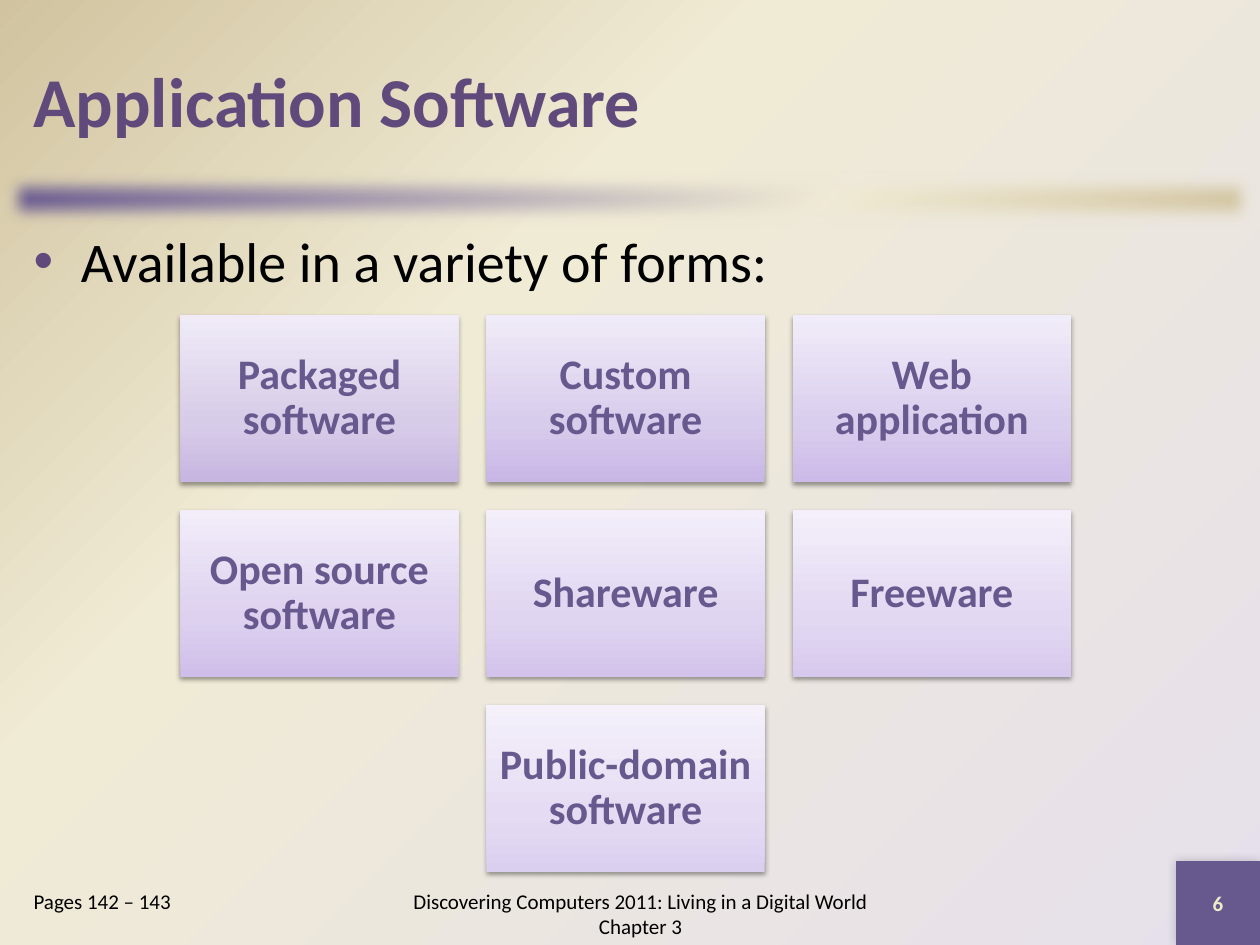
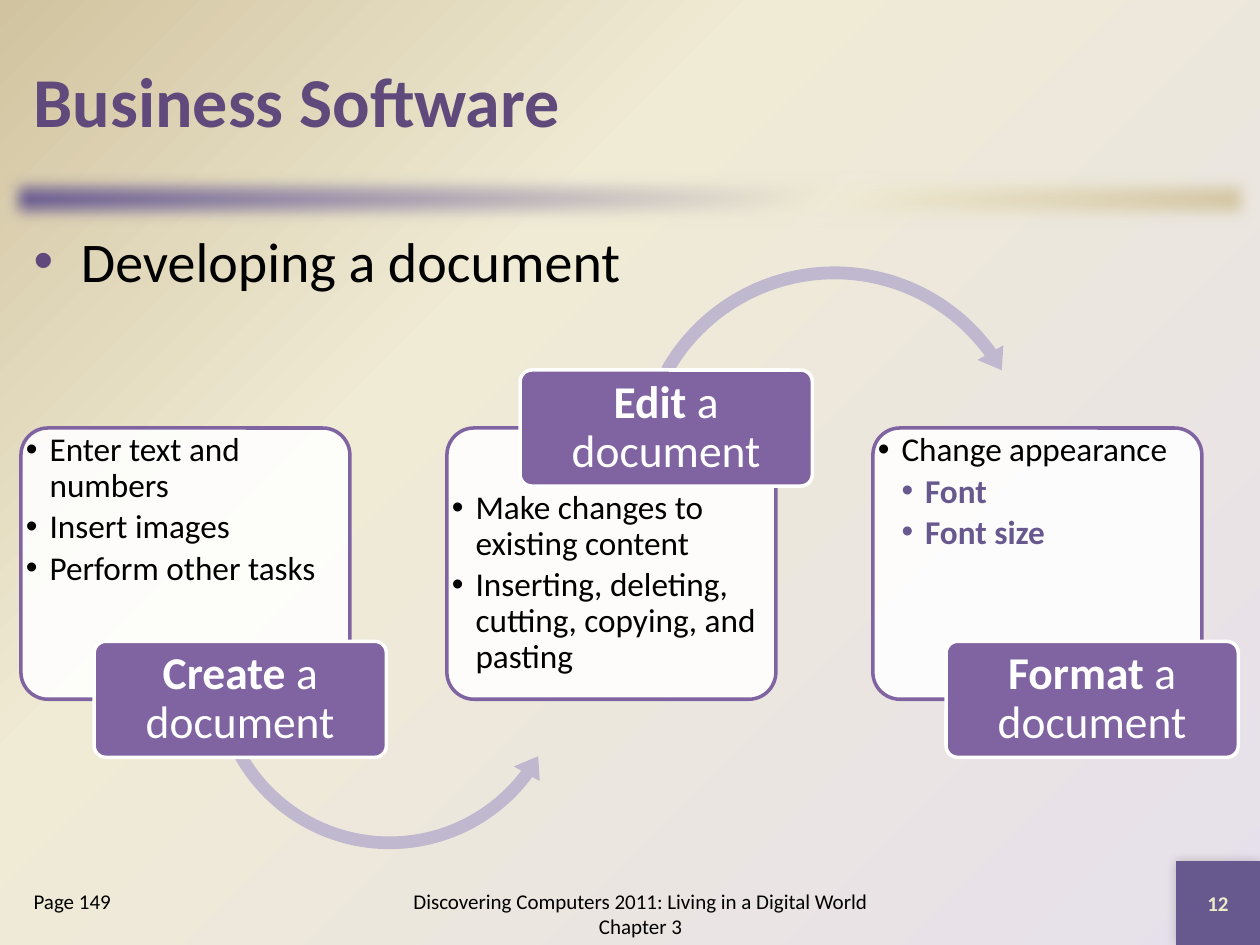
from pptx import Presentation
from pptx.dml.color import RGBColor
from pptx.enum.shapes import MSO_SHAPE
from pptx.enum.text import MSO_ANCHOR, MSO_AUTO_SIZE, PP_ALIGN
from pptx.oxml import parse_xml
from pptx.oxml.ns import nsdecls, qn
from pptx.util import Pt

FONT = "Calibri"
BLACK = "000000"
WHITE = "FFFFFF"
PURPLE = "67588E"
TITLE_PURPLE = "604A7B"
LABEL_PURPLE = "8064A2"
ARROW_LILAC = "C0B8CE"
CREAM = "EEEBCA"
SAND_STOPS = [(65, "F0EBD5"), (100, "D1C39F")]
FOOTER = "Discovering Computers 2011: Living in a Digital World Chapter 3"

CARDS = [
    ("Packaged software", ("C6B6E0", "D7CCE8", "F0EBF7")),
    ("Custom software", ("C8B6E6", "D8CCEC", "F0EBF8")),
    ("Web application", ("CCBAE8", "DACEEE", "F1ECF9")),
    ("Open source software", ("CFBEE9", "DDD1EF", "F2EDF9")),
    ("Shareware", ("D3C3EB", "DFD5F0", "F3EEFA")),
    ("Freeware", ("D7C9ED", "E2D8F2", "F4EFFA")),
    ("Public-domain software", ("DBCFEF", "E5DCF3", "F5F1FB")),
]

STEPS = [
    {
        "verb": "Create",
        "items": [(0, "Enter text and numbers"), (0, "Insert images"), (0, "Perform other tasks")],
        "label_on_top": False,
        "arrow": (MSO_SHAPE.LEFT_CIRCULAR_ARROW, (104.4, 33.1, 212.4, 212.4),
                  (0.034, 4.208, 21.963, 90.245, 0.04)),
    },
    {
        "verb": "Edit",
        "items": [(0, "Make changes to existing content"),
                  (0, "Inserting, deleting, cutting, copying, and pasting")],
        "label_on_top": True,
        "arrow": (MSO_SHAPE.CIRCULAR_ARROW, (103, -97.2, 236.9, 236.9),
                  (0.031, 3.75, 194.495, 125.755, 0.036)),
    },
    {
        "verb": "Format",
        "items": [(0, "Change appearance"), (1, "Font"), (1, "Font size")],
        "label_on_top": False,
        "arrow": None,
    },
]


def color(hex_value):
    """Turn a hex string into a colour."""
    return RGBColor.from_string(hex_value)


def points(box):
    """Turn a box of numbers into point lengths."""
    return [Pt(value) for value in box]


def set_gradient(properties, stops, direction):
    """Replace the solid fill in the properties by a gradient."""
    stop_xml = "".join(
        f'<a:gs pos="{position * 1000}"><a:srgbClr val="{value}"/></a:gs>'
        for position, value in stops)
    gradient = parse_xml(
        f'<a:gradFill {nsdecls("a")} rotWithShape="1"><a:gsLst>{stop_xml}</a:gsLst>'
        f'{direction}</a:gradFill>')
    properties.replace(properties.find(qn("a:solidFill")), gradient)


def linear(angle):
    """Describe a linear gradient direction."""
    return f'<a:lin ang="{angle * 60000}" scaled="0"/>'


def add_effect(shape, effect):
    """Put an effect into the effect list of a shape."""
    shape.element.spPr.find(qn("a:effectLst")).append(parse_xml(effect))


def add_shadow(shape, opacity, blur, distance, angle):
    """Give a shape a soft black shadow."""
    add_effect(shape, (
        f'<a:outerShdw {nsdecls("a")} blurRad="{Pt(blur)}" dist="{Pt(distance)}" '
        f'dir="{angle * 60000}" algn="ctr" rotWithShape="0"><a:srgbClr val="{BLACK}">'
        f'<a:alpha val="{opacity * 1000}"/></a:srgbClr></a:outerShdw>'))


def add_block(slide, kind, box, fill, line=None):
    """Add a flat preset shape, with an outline if a line colour is given."""
    shape = slide.shapes.add_shape(kind, *points(box))
    shape.shadow.inherit = False
    shape.fill.solid()
    shape.fill.fore_color.rgb = color(fill)
    if line:
        shape.line.color.rgb = color(line)
        shape.line.width = Pt(2)
    else:
        shape.line.fill.background()
    return shape


def format_frame(shape, anchor, insets=(7.2, 3.6)):
    """Set wrapping, anchor and insets of a text frame and return it."""
    frame = shape.text_frame
    frame.word_wrap = True
    frame.auto_size = MSO_AUTO_SIZE.NONE
    frame.vertical_anchor = anchor
    frame.margin_left = frame.margin_right = Pt(insets[0])
    frame.margin_top = frame.margin_bottom = Pt(insets[1])
    return frame


def add_run(paragraph, text, size, hex_value, bold=False):
    """Append one formatted run."""
    run = paragraph.add_run()
    run.text = text
    run.font.name = FONT
    run.font.size = Pt(size)
    run.font.bold = bold
    run.font.color.rgb = color(hex_value)


def set_bullet(paragraph, margin, hanging, hex_value):
    """Give a paragraph a round bullet with a hanging indent."""
    properties = paragraph._p.get_or_add_pPr()
    properties.set("marL", str(Pt(margin)))
    properties.set("indent", str(-Pt(hanging)))
    for xml in (f'<a:buClr {nsdecls("a")}><a:srgbClr val="{hex_value}"/></a:buClr>',
                f'<a:buFont {nsdecls("a")} typeface="Arial"/>',
                f'<a:buChar {nsdecls("a")} char="•"/>'):
        properties.append(parse_xml(xml))


def place(placeholder, box):
    """Move a placeholder to a box."""
    placeholder.left, placeholder.top, placeholder.width, placeholder.height = points(box)


def add_band(slide, box):
    """Draw the blurred band below the title."""
    band = add_block(slide, MSO_SHAPE.RECTANGLE, box, PURPLE)
    set_gradient(band.element.spPr, [(0, PURPLE)] + SAND_STOPS, linear(45))
    add_effect(band, f'<a:softEdge {nsdecls("a")} rad="{Pt(10)}"/>')


def add_slide_number(slide, box, number):
    """Draw the corner square with the slide number."""
    square = add_block(slide, MSO_SHAPE.RECTANGLE, box, PURPLE)
    add_shadow(square, 20, 6, 0, 225)
    paragraph = format_frame(square, MSO_ANCHOR.MIDDLE).paragraphs[0]
    paragraph.alignment = PP_ALIGN.CENTER
    add_run(paragraph, str(number), 12, CREAM, True)


def add_footer(slide, box):
    """Write the centred book title at the foot."""
    footer = slide.shapes.add_textbox(*points(box))
    paragraph = format_frame(footer, MSO_ANCHOR.MIDDLE).paragraphs[0]
    paragraph.alignment = PP_ALIGN.CENTER
    add_run(paragraph, FOOTER, 12, BLACK)


def fill_placeholders(slide, title, bullet, pages):
    """Place and fill the title, the lead bullet and the page reference."""
    place(slide.shapes.title, (12, 12, 696, 90))
    paragraph = format_frame(slide.shapes.title, MSO_ANCHOR.MIDDLE).paragraphs[0]
    paragraph.alignment = PP_ALIGN.LEFT
    add_run(paragraph, title, 40, TITLE_PURPLE, True)

    body = slide.placeholders[1]
    place(body, (12, 126, 696, 366))
    paragraph = format_frame(body, MSO_ANCHOR.TOP).paragraphs[0]
    set_bullet(paragraph, 27, 27, TITLE_PURPLE)
    paragraph.space_before = Pt(0)
    add_run(paragraph, bullet, 32, BLACK)

    reference = slide.placeholders[2]
    place(reference, (12, 504, 132, 36))
    paragraph = format_frame(reference, MSO_ANCHOR.TOP).paragraphs[0]
    properties = paragraph._p.get_or_add_pPr()
    properties.set("marL", "0")
    properties.set("indent", "0")
    properties.append(parse_xml(f'<a:buNone {nsdecls("a")}/>'))
    paragraph.space_before = Pt(0)
    add_run(paragraph, pages, 12, BLACK)


def add_base_slide(presentation, title, bullet, pages, number):
    """Add a slide with everything the slides share."""
    slide = presentation.slides.add_slide(presentation.slide_layouts[3])
    add_band(slide, (0, 96, 720, 36))
    add_slide_number(slide, (672, 492, 48, 48), number)
    fill_placeholders(slide, title, bullet, pages)
    add_footer(slide, (216, 504, 300, 36))
    return slide


def add_card_grid(slide, left, top, width, columns=3):
    """Lay out the cards in rows, centring a short last row."""
    card_width = width / (columns + 0.1 * (columns - 1))
    card_height = 0.6 * card_width
    gap = 0.1 * card_width
    for index, (text, shades) in enumerate(CARDS):
        row, column = divmod(index, columns)
        row_count = min(columns, len(CARDS) - row * columns)
        column += (columns - row_count) / 2
        box = (left + column * (card_width + gap), top + row * (card_height + gap),
               card_width, card_height)
        card = add_block(slide, MSO_SHAPE.RECTANGLE, box, shades[0])
        set_gradient(card.element.spPr, zip((0, 35, 100), shades), linear(270))
        add_shadow(card, 38, 3.1, 1.6, 90)
        paragraph = format_frame(card, MSO_ANCHOR.MIDDLE, (7.2, 7.2)).paragraphs[0]
        paragraph.alignment = PP_ALIGN.CENTER
        paragraph.line_spacing = 0.9
        add_run(paragraph, text, 24, PURPLE, True)


def add_step_list(slide, box, items):
    """Write the bulleted tasks of one step."""
    frame = format_frame(slide.shapes.add_textbox(*points(box)), MSO_ANCHOR.TOP, (2.9, 2.9))
    for index, (depth, text) in enumerate(items):
        paragraph = frame.add_paragraph() if index else frame.paragraphs[0]
        paragraph.level = depth + 1
        text_color = PURPLE if depth else BLACK
        set_bullet(paragraph, 13.5 * (depth + 1), 13.5, text_color)
        paragraph.line_spacing = 0.9
        paragraph.space_after = Pt(3)
        add_run(paragraph, text, 19, text_color, depth > 0)


def add_step(slide, left, top, width, height, step):
    """Draw one step: panel, tasks, arrow to the next step and label."""
    label_width, label_height = 167, 66.3
    overlap = label_height / 2
    panel = add_block(slide, MSO_SHAPE.ROUNDED_RECTANGLE, (left, top, width, height),
                      WHITE, LABEL_PURPLE)
    panel.adjustments[0] = 0.1
    panel.element.spPr.find(qn("a:solidFill"))[0].append(
        parse_xml(f'<a:alpha {nsdecls("a")} val="90000"/>'))
    list_top = top + overlap if step["label_on_top"] else top
    add_step_list(slide, (left, list_top, width, height - overlap), step["items"])

    if step["arrow"]:
        kind, (offset_x, offset_y, *size), adjustments = step["arrow"]
        arrow = add_block(slide, kind, (left + offset_x, top + offset_y, *size), ARROW_LILAC)
        for index, value in enumerate(adjustments):
            arrow.adjustments[index] = value

    edge = top if step["label_on_top"] else top + height
    label = add_block(slide, MSO_SHAPE.ROUNDED_RECTANGLE,
                      (left + 41.8, edge - overlap, label_width, label_height),
                      LABEL_PURPLE, WHITE)
    label.adjustments[0] = 0.1
    paragraph = format_frame(label, MSO_ANCHOR.MIDDLE, (3.6, 2.9)).paragraphs[0]
    paragraph.alignment = PP_ALIGN.CENTER
    paragraph.line_spacing = 0.9
    add_run(paragraph, step["verb"], 26, WHITE, True)
    add_run(paragraph, " a document", 26, WHITE)


def set_background(master):
    """Give the master its radial background gradient."""
    master.background.fill.solid()
    master.background.fill.fore_color.rgb = color(WHITE)
    direction = '<a:path path="circle"><a:fillToRect l="100000" t="100000"/></a:path>'
    set_gradient(master.element.find(f'.//{qn("p:bgPr")}'),
                 [(0, "E6E0EC")] + SAND_STOPS, direction)


def main():
    """Build and save the presentation."""
    presentation = Presentation()
    presentation.slide_width, presentation.slide_height = Pt(720), Pt(540)
    set_background(presentation.slide_master)

    forms = add_base_slide(presentation, "Application Software",
                           "Available in a variety of forms:", "Pages 142 – 143", 6)
    add_card_grid(forms, 103, 180, 509)

    process = add_base_slide(presentation, "Business Software",
                             "Developing a document", "Page 149", 12)
    for index, step in enumerate(STEPS):
        add_step(process, 12 + index * 243.4, 244.6, 188, 155, step)

    presentation.save("out.pptx")


if __name__ == "__main__":
    main()
